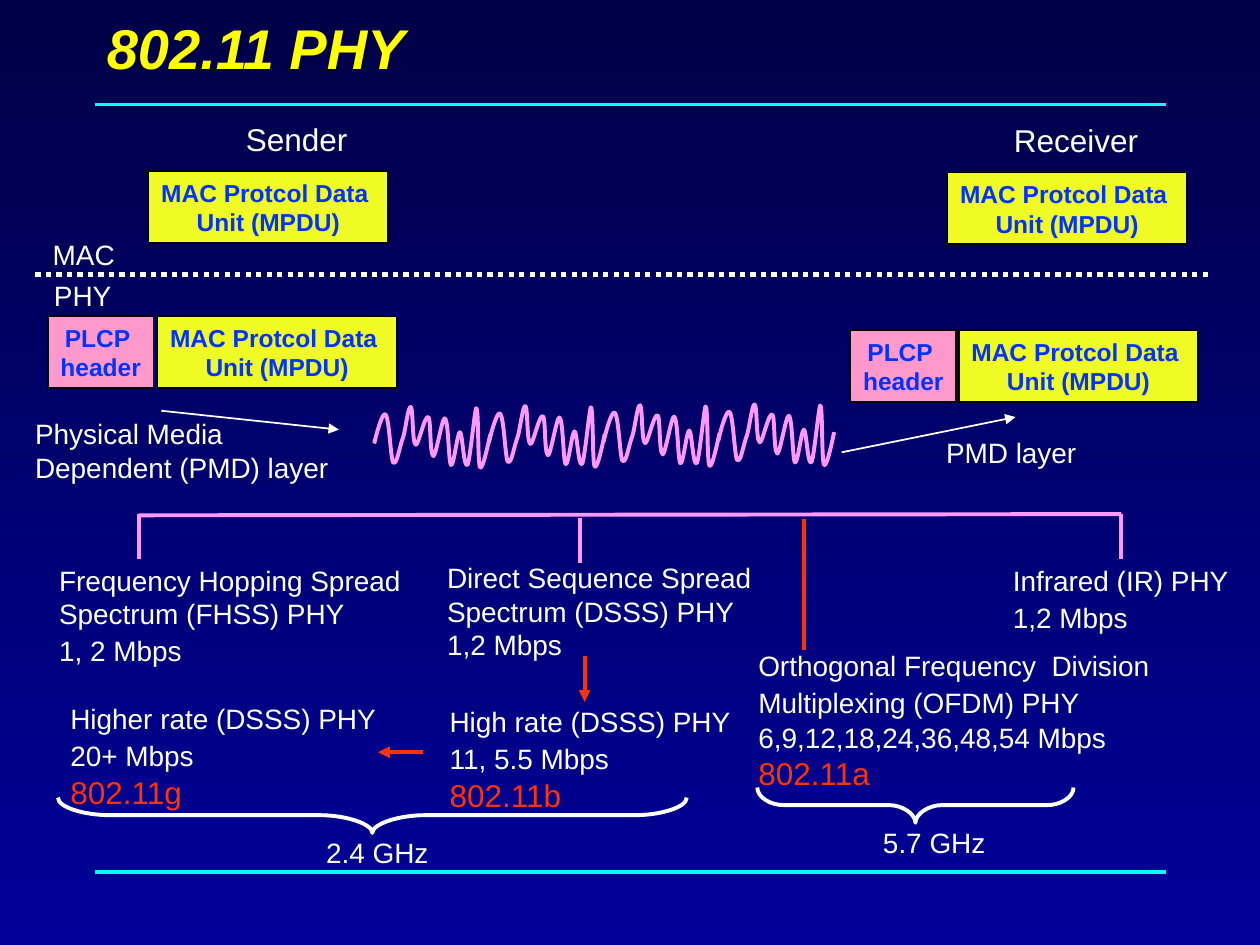
from lxml.etree import SubElement
from pptx import Presentation
from pptx.dml.color import RGBColor
from pptx.enum.dml import MSO_LINE
from pptx.enum.shapes import MSO_CONNECTOR, MSO_SHAPE
from pptx.enum.text import MSO_ANCHOR, MSO_AUTO_SIZE, PP_ALIGN
from pptx.oxml.ns import qn
from pptx.util import Inches, Pt

WHITE, RED, PINK, CYAN, YELLOW = "FFFFFF", "FF3300", "FF99FF", "00FFFF", "FFFF00"
BLACK, BOX_TEXT = "000000", "0033FF"
BACKGROUND = ("000046", "000099")
FONT = "Arial"


# Content: a paragraph is a list of (text, size, colour) runs
def label(text, size=16, color=WHITE):
    return [(text, size, color)]


def tall(text):
    return [(text, 16, WHITE), (" ", 18, WHITE)]


def standard(text):
    return label(text, 18, RED)


TITLE = "802.11 PHY"
# left, top, width, height, centred, paragraphs
LABELS = [
    (1.85, 0.9, 1.01, 0.4, True, [label("Sender", 18)]),
    (7.9, 0.91, 1.28, 0.4, True, [label("Receiver", 18)]),
    (0.18, 3.26, 2.95, 0.64, False,
     [label("Physical Media"), label("Dependent (PMD) layer")]),
    (7.41, 3.41, 1.49, 0.37, False, [label("PMD layer")]),
    (0.32, 1.84, 0.72, 0.37, False, [label("MAC")]),
    (0.33, 2.16, 0.72, 0.37, False, [label("PHY")]),
    (3.47, 5.54, 3.02, 0.97, False,
     [label("High rate (DSSS) PHY"), tall("11, 5.5 Mbps"), standard("802.11b")]),
    (3.45, 4.4, 3.02, 0.9, False,
     [label("Direct Sequence Spread Spectrum (DSSS) PHY"), label("1,2 Mbps")]),
    (0.37, 4.42, 3.02, 0.94, False,
     [label("Frequency Hopping Spread Spectrum (FHSS) PHY"), tall("1, 2 Mbps")]),
    (7.94, 4.42, 2, 0.67, False, [label("Infrared (IR) PHY"), tall("1,2 Mbps")]),
    (0.46, 5.52, 3.02, 0.97, False,
     [label("Higher rate (DSSS) PHY"), tall("20+ Mbps"), standard("802.11g")]),
    (2.49, 6.58, 1.33, 0.37, False, [label("2.4 GHz")]),
    (5.92, 5.1, 3.38, 1.24, False,
     [tall("Orthogonal Frequency  Division Multiplexing (OFDM) PHY"),
      label("6,9,12,18,24,36,48,54 Mbps"), standard("802.11a")]),
    (6.91, 6.5, 1.33, 0.37, False, [label("5.7 GHz")]),
]

# Kinds of packet part: lines, width, fill; then where each one stands
PARTS = {
    "mpdu": (["MAC Protcol Data ", "Unit (MPDU)"], 1.9, "F0FA24"),
    "plcp": (["PLCP ", "header"], 0.84, "FF99CC"),
}
PART_HEIGHT = 0.57
PACKETS = [("mpdu", 1.18, 1.36), ("mpdu", 1.25, 2.51), ("plcp", 0.38, 2.51),
           ("mpdu", 7.61, 2.62), ("plcp", 6.75, 2.62), ("mpdu", 7.52, 1.37)]

# start, end, colour, width, arrowhead
RULES = [((0.75, y), (9.25, y), CYAN, 2, False) for y in (0.83, 6.92)]
LAYER_BORDER = ((0.28, 2.18), (9.59, 2.18), WHITE, 3, False)
LINES = [
    ((1.28, 3.26), (2.69, 3.41), WHITE, 1, True),
    ((6.68, 3.59), (8.06, 3.31), WHITE, 1, True),
    ((4.64, 5.21), (4.64, 5.57), RED, 2.25, True),
    ((1.1, 4.09), (8.9, 4.08), PINK, 2.25, False),
    ((1.1, 4.08), (1.1, 4.44), PINK, 2.25, False),
    ((4.6, 4.11), (4.6, 4.47), PINK, 2.25, False),
    ((8.9, 4.08), (8.9, 4.44), PINK, 2.25, False),
    ((3.36, 5.97), (3, 5.97), RED, 2.25, True),
    ((6.38, 4.12), (6.38, 5.16), RED, 2.25, False),
]

# Outlines: a start, then segments of one point (line) or three (curve)
WAVE = [
    [(2.97, 3.52)],
    [(3, 3.39), (3.04, 3.27), (3.06, 3.29)],
    [(3.09, 3.32), (3.1, 3.64), (3.12, 3.67)],
    [(3.15, 3.7), (3.17, 3.54), (3.2, 3.47)],
    [(3.22, 3.4), (3.24, 3.22), (3.26, 3.23)],
    [(3.28, 3.24), (3.27, 3.52), (3.3, 3.53)],
    [(3.32, 3.54), (3.37, 3.29), (3.4, 3.31)],
    [(3.42, 3.32), (3.41, 3.61), (3.44, 3.62)],
    [(3.46, 3.62), (3.51, 3.31), (3.53, 3.32)],
    [(3.56, 3.33), (3.56, 3.68), (3.58, 3.69)],
    [(3.6, 3.71), (3.63, 3.43), (3.65, 3.43)],
    [(3.67, 3.43), (3.68, 3.72), (3.71, 3.69)],
    [(3.73, 3.66), (3.77, 3.23), (3.78, 3.24)],
    [(3.8, 3.24), (3.79, 3.67), (3.81, 3.71)],
    [(3.83, 3.74), (3.88, 3.5), (3.89, 3.45)],
]
WAVE_COUNT, WAVE_STEP, WAVE_RISE = 4, 0.91, 0.02 / 3

# Upright brace, in shares of its depth and twelfths of its length
BRACE = [
    [(0, 0)],
    [(0.28, 0), (0.5, 0.5), (0.5, 1)],
    [(0.5, 5)],
    [(0.5, 5.5), (0.75, 6), (1, 6)],
    [(0.75, 6), (0.5, 6.5), (0.5, 7)],
    [(0.5, 11)],
    [(0.5, 11.5), (0.28, 12), (0, 12)],
]
BRACE_DEPTH = 0.28
BANDS = [(0.46, 6.33, 4.99), (6.01, 6.25, 2.51)]  # left, top, length


def rgb(color):
    return RGBColor.from_string(color)


def set_line(shape, color, width):
    shape.line.color.rgb = rgb(color)
    shape.line.width = Pt(width)


def write(frame, paragraphs, align, bold=False, italic=False):
    for index, runs in enumerate(paragraphs):
        paragraph = frame.add_paragraph() if index else frame.paragraphs[0]
        paragraph.alignment = align
        for text, size, color in runs:
            run = paragraph.add_run()
            run.text = text
            run.font.name, run.font.size = FONT, Pt(size)
            run.font.bold, run.font.italic = bold, italic
            run.font.color.rgb = rgb(color)


def draw_line(shapes, start, end, color, width, arrow):
    line = shapes.add_connector(MSO_CONNECTOR.STRAIGHT, *map(Inches, start + end))
    set_line(line, color, width)
    if arrow:
        SubElement(line.line._get_or_add_ln(), qn("a:tailEnd"), type="triangle")
    SubElement(line._element.spPr, qn("a:effectLst"))
    return line


def draw_outline(shapes, segments, left, top, color, x_unit=1, y_unit=1):
    start, *rest = [(Inches(left + x * x_unit), Inches(top + y * y_unit))
                    for segment in segments for x, y in segment]
    builder = shapes.build_freeform(*start)
    builder.add_line_segments(rest, close=False)
    outline = builder.convert_to_shape()
    # Join each three points of a curve into one Bezier step
    steps = iter(list(outline._element.iter(qn("a:lnTo"))))
    for segment in segments[1:]:
        parts = [next(steps) for _ in segment]
        if len(parts) == 3:
            curve = SubElement(parts[0].getparent(), qn("a:cubicBezTo"))
            parts[0].addprevious(curve)
            for part in parts:
                curve.append(part[0])
                part.getparent().remove(part)
    outline.shadow.inherit = False
    outline.fill.background()
    set_line(outline, color, 2.25)
    return outline


def main():
    deck = Presentation()
    deck.slide_width, deck.slide_height = Inches(10), Inches(7.5)
    slide = deck.slides.add_slide(deck.slide_layouts[6])
    shapes = slide.shapes

    # Background, dark at the top
    fill = slide.background.fill
    fill.gradient()
    fill.gradient_angle = 270
    for stop, color in zip(fill.gradient_stops, BACKGROUND):
        stop.color.rgb = rgb(color)

    # Rules and title
    for rule in RULES:
        draw_line(shapes, *rule)
    title = shapes.add_textbox(*map(Inches, (0.75, 0, 8.5, 0.75))).text_frame
    title.word_wrap = True
    title.vertical_anchor = MSO_ANCHOR.MIDDLE
    write(title, [label(TITLE, 32, YELLOW)], PP_ALIGN.LEFT, bold=True, italic=True)

    # Radio signal
    for index in range(WAVE_COUNT):
        draw_outline(shapes, WAVE, index * WAVE_STEP, -index * WAVE_RISE, PINK)

    # Packets
    for kind, left, top in PACKETS:
        lines, width, color = PARTS[kind]
        packet = shapes.add_shape(
            MSO_SHAPE.RECTANGLE, *map(Inches, (left, top, width, PART_HEIGHT)))
        packet.shadow.inherit = False
        packet.fill.solid()
        packet.fill.fore_color.rgb = rgb(color)
        set_line(packet, BLACK, 1)
        packet.text_frame.word_wrap = False
        packet.text_frame.vertical_anchor = MSO_ANCHOR.MIDDLE
        write(packet.text_frame, [label(text, 14, BOX_TEXT) for text in lines],
              PP_ALIGN.CENTER, bold=True)

    # Lines and arrows
    draw_line(shapes, *LAYER_BORDER).line.dash_style = MSO_LINE.ROUND_DOT
    for line in LINES:
        draw_line(shapes, *line)

    # Frequency bands: upright braces turned to open upwards
    for left, top, length in BANDS:
        shift = (length - BRACE_DEPTH) / 2
        brace = draw_outline(shapes, BRACE, left + shift, top - shift, WHITE,
                             BRACE_DEPTH, length / 12)
        brace.rotation = 90

    # Labels
    for *place, centred, paragraphs in LABELS:
        frame = shapes.add_textbox(*map(Inches, place)).text_frame
        frame.word_wrap = True
        frame.auto_size = MSO_AUTO_SIZE.SHAPE_TO_FIT_TEXT
        write(frame, paragraphs, PP_ALIGN.CENTER if centred else PP_ALIGN.LEFT)

    deck.save("out.pptx")


if __name__ == "__main__":
    main()
